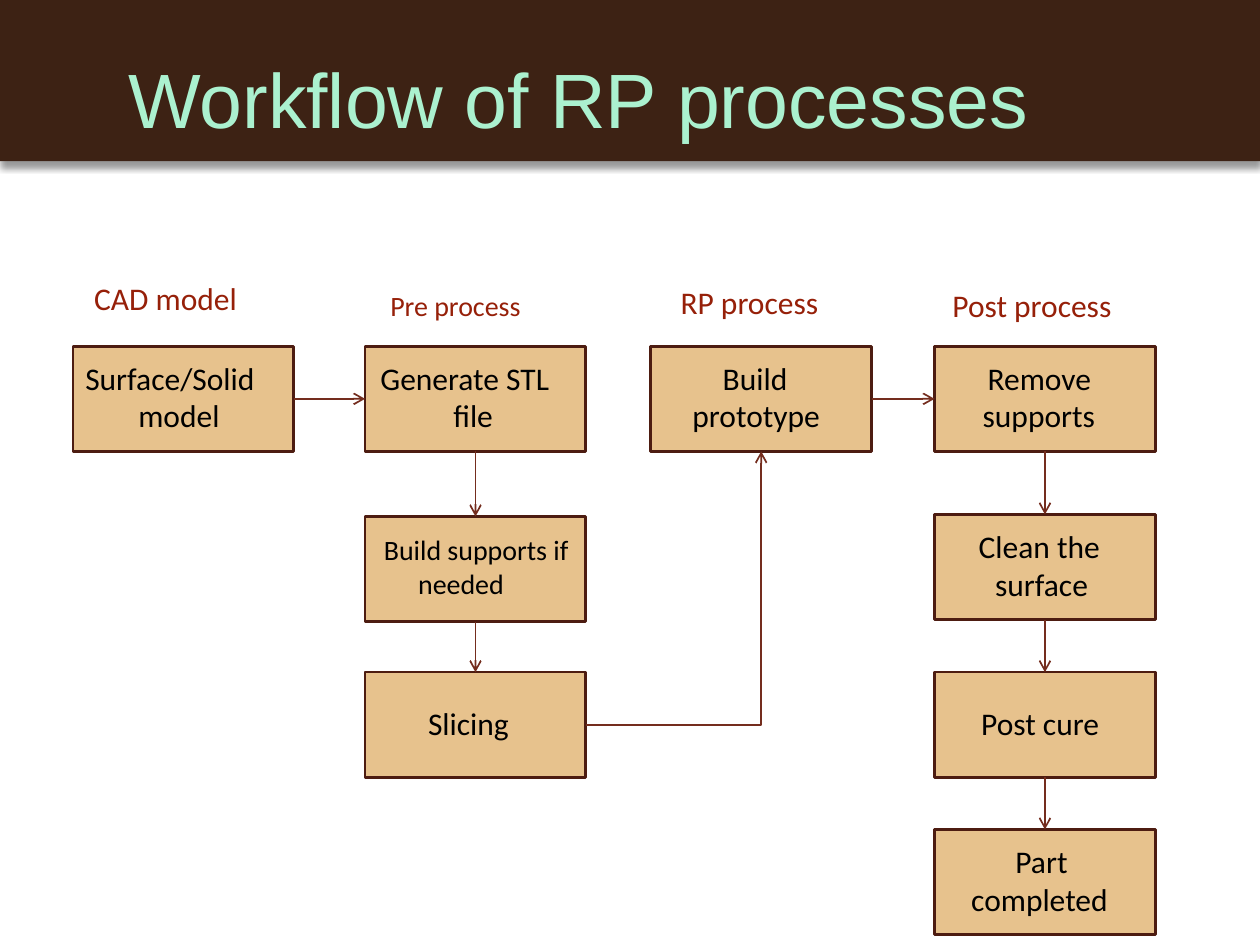
from dataclasses import dataclass

import pptx
import pptx.dml.color
import pptx.enum.shapes
import pptx.enum.text
import pptx.oxml
import pptx.oxml.ns
import pptx.util
from pptx.util import Cm

COLORS = {
    "band": "3D2214",
    "title": "ABF1CF",
    "heading": "962009",
    "box": "E7C28D",
    "border": "4D1C11",
    "arrow": "742D1E",
    "text": "000000",
}
COLUMNS = {"cad": 1.47, "pre": 7.36, "rp": 13.12, "post": 18.84}
BOX_WIDTH, BOX_HEIGHT = 4.45, 2.12


@dataclass
class Step:
    """A workflow box; lengths are in centimetres."""
    text: str
    column: str
    top: float
    indent: float
    first_line: float = 0
    inset: float = 0.25
    size: int = 18

    @property
    def left(self) -> float:
        return COLUMNS[self.column]

    @property
    def right(self) -> float:
        return self.left + BOX_WIDTH

    @property
    def bottom(self) -> float:
        return self.top + BOX_HEIGHT

    @property
    def center_x(self) -> float:
        return self.left + BOX_WIDTH / 2

    @property
    def center_y(self) -> float:
        return self.top + BOX_HEIGHT / 2


@dataclass
class Label:
    """A line of text outside the boxes; lengths are in centimetres."""
    text: str
    left: float
    top: float
    width: float = 3.6
    height: float = 0.83
    size: int = 18
    font: str = "Calibri"
    color: str = "heading"


SURFACE = Step("Surface/Solid model", "cad", 6.98, 1.32, -1.07)
GENERATE = Step("Generate STL file", "pre", 6.98, 1.78, -1.47)
SUPPORTS = Step("Build supports if needed", "pre", 10.41, 1.07, -0.69, 0.33, 16)
SLICING = Step("Slicing", "pre", 13.55, 1.27, inset=0.64)
BUILD = Step("Build prototype", "rp", 6.98, 0.84, 0.61)
REMOVE = Step("Remove supports", "post", 6.98, 0.97, 0.1)
CLEAN = Step("Clean the surface", "post", 10.37, 1.22, -0.33)
CURE = Step("Post cure", "post", 13.55, 0.94, inset=0.64)
COMPLETED = Step("Part completed", "post", 16.72, 0.74, 0.89)

STEPS = [SURFACE, GENERATE, SUPPORTS, SLICING, BUILD, REMOVE, CLEAN, CURE, COMPLETED]
ACROSS = [(SURFACE, GENERATE), (BUILD, REMOVE)]
DOWN = [(GENERATE, SUPPORTS), (SUPPORTS, SLICING), (REMOVE, CLEAN),
        (CLEAN, CURE), (CURE, COMPLETED)]
LABELS = [
    Label("CAD model", 1.9, 5.59),
    Label("Pre process", 7.87, 5.74, size=16),
    Label("RP process", 13.72, 5.67),
    Label("Post process", 19.2, 5.74),
    Label("Workflow of RP processes", 2.59, 1, 19.3, 1.93, 44, "Arial", "title"),
]


def rgb(name: str) -> pptx.dml.color.RGBColor:
    return pptx.dml.color.RGBColor.from_string(COLORS[name])


def add_rectangle(slide, left: float, top: float, width: float, height: float, fill: str):
    shape = slide.shapes.add_shape(pptx.enum.shapes.MSO_SHAPE.RECTANGLE,
                                   Cm(left), Cm(top), Cm(width), Cm(height))
    shape.shadow.inherit = False
    shape.fill.solid()
    shape.fill.fore_color.rgb = rgb(fill)
    return shape


def set_text(shape, text: str, size: int, font: str, color: str, inset: float = 0):
    frame = shape.text_frame
    frame.word_wrap = True
    frame.margin_left = frame.margin_right = frame.margin_bottom = 0
    frame.margin_top = Cm(inset)
    frame.vertical_anchor = pptx.enum.text.MSO_ANCHOR.TOP
    frame.text = text
    paragraph = frame.paragraphs[0]
    paragraph.alignment = pptx.enum.text.PP_ALIGN.LEFT
    run_font = paragraph.runs[0].font
    run_font.name = font
    run_font.size = pptx.util.Pt(size)
    run_font.color.rgb = rgb(color)
    return paragraph


def add_band(slide) -> None:
    """Draw the title band with its soft shadow below."""
    band = add_rectangle(slide, 0, 0, 25.4, 3.25, "band")
    band.line.fill.background()
    effects = band._element.spPr.find(pptx.oxml.ns.qn("a:effectLst"))
    effects.append(pptx.oxml.parse_xml(
        f'<a:outerShdw {pptx.oxml.ns.nsdecls("a")} blurRad="50800" dist="38100" '
        'dir="5400000" rotWithShape="0"><a:srgbClr val="000000">'
        '<a:alpha val="40000"/></a:srgbClr></a:outerShdw>'))


def add_label(slide, label: Label) -> None:
    box = slide.shapes.add_textbox(Cm(label.left), Cm(label.top),
                                   Cm(label.width), Cm(label.height))
    set_text(box, label.text, label.size, label.font, label.color)
    box.text_frame.vertical_anchor = pptx.enum.text.MSO_ANCHOR.MIDDLE


def add_step(slide, step: Step) -> None:
    box = add_rectangle(slide, step.left, step.top, BOX_WIDTH, BOX_HEIGHT, "box")
    box.line.color.rgb = rgb("border")
    box.line.width = pptx.util.Pt(1.56)
    paragraph = set_text(box, step.text, step.size, "Calibri", "text", step.inset)
    properties = paragraph._p.get_or_add_pPr()
    properties.set("marL", str(Cm(step.indent)))
    properties.set("indent", str(Cm(step.first_line)))


def style_arrow(shape) -> None:
    """Give a line its colour, width and open head at the end."""
    shape.line.color.rgb = rgb("arrow")
    shape.line.width = pptx.util.Pt(1)
    shape.line._get_or_add_ln().append(pptx.oxml.parse_xml(
        f'<a:tailEnd {pptx.oxml.ns.nsdecls("a")} type="arrow"/>'))


def add_arrow(slide, x1: float, y1: float, x2: float, y2: float) -> None:
    connector = slide.shapes.add_connector(pptx.enum.shapes.MSO_CONNECTOR.STRAIGHT,
                                           Cm(x1), Cm(y1), Cm(x2), Cm(y2))
    style_arrow(connector)
    connector._element.spPr.append(pptx.oxml.parse_xml(
        f'<a:effectLst {pptx.oxml.ns.nsdecls("a")}/>'))


def add_bent_arrow(slide, start: Step, end: Step) -> None:
    """Lead from the right side of one box up to the bottom of another."""
    builder = slide.shapes.build_freeform(Cm(start.right), Cm(start.center_y))
    builder.add_line_segments([(Cm(end.center_x), Cm(start.center_y)),
                               (Cm(end.center_x), Cm(end.bottom))], close=False)
    shape = builder.convert_to_shape()
    shape.shadow.inherit = False
    shape.fill.background()
    style_arrow(shape)


def main() -> None:
    presentation = pptx.Presentation()
    presentation.slide_width, presentation.slide_height = Cm(25.4), Cm(19.05)
    slide = presentation.slides.add_slide(presentation.slide_layouts[6])
    add_band(slide)
    for step in STEPS:
        add_step(slide, step)
    for start, end in ACROSS:
        add_arrow(slide, start.right, start.center_y, end.left, end.center_y)
    for start, end in DOWN:
        add_arrow(slide, start.center_x, start.bottom, end.center_x, end.top)
    add_bent_arrow(slide, SLICING, BUILD)
    for label in LABELS:
        add_label(slide, label)
    presentation.save("out.pptx")


if __name__ == "__main__":
    main()
